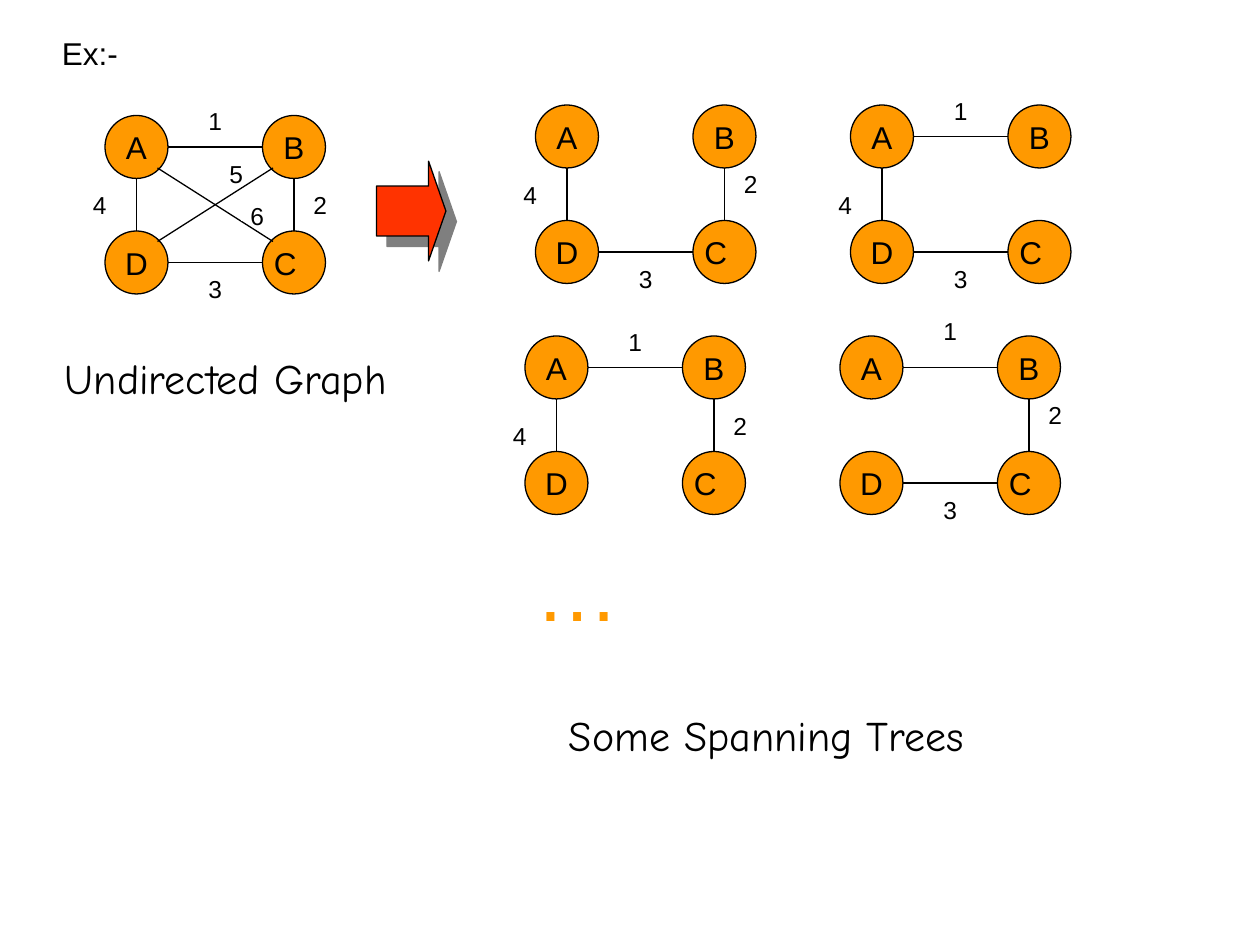
from lxml import etree
from pptx import Presentation, util as u
from pptx.dml.color import RGBColor
from pptx.enum import shapes, text
from pptx.oxml import ns

theme = {
    "ink": RGBColor.from_string("000000"),
    "paper": RGBColor.from_string("FFFFFF"),
    "node": RGBColor.from_string("FF9900"),
    "arrow": RGBColor.from_string("FF3300"),
    "font": "Arial",
    "script": "Comic Neue",
    "label": u.Pt(14),
    "name": u.Pt(18),
    "title": u.Pt(24),
    "dots": u.Pt(48),
    "line": u.Pt(0.75),
}
kinds = shapes.MSO_SHAPE
step = u.Cm(2.54) // 12

deck = Presentation()
deck.slide_width, deck.slide_height = u.Cm(25.4), u.Cm(19.05)
slide = deck.slides.add_slide(deck.slide_layouts[6])


def block(kind, x, y, w, h, fill, edge):
    shape = slide.shapes.add_shape(kind, x, y, w, h)
    shape.shadow.inherit = False
    shape.fill.solid()
    shape.fill.fore_color.rgb = theme[fill]
    shape.line.color.rgb = theme[edge]
    shape.line.width = theme["line"]
    return shape


def write(shape, words, size, color="ink", shift=0):
    frame = shape.text_frame
    frame.margin_left = frame.margin_right = 0
    frame.margin_top = frame.margin_bottom = 0
    frame.margin_right = u.Cm(shift)
    frame.word_wrap = False
    frame.vertical_anchor = text.MSO_ANCHOR.MIDDLE
    para = frame.paragraphs[0]
    para.text = words
    para.alignment = text.PP_ALIGN.CENTER
    para.font.name = theme["font"]
    para.font.size = theme[size]
    para.font.color.rgb = theme[color]


titles = [
    ("Undirected Graph", 5, 33, u.Cm(8)),
    ("Some Spanning Trees", 53, 67, u.Cm(9.86)),
]
for words, x, y, width in titles:
    box = slide.shapes.add_textbox(x * step, y * step, width, 6 * step)
    box.text_frame.word_wrap = True
    box.text_frame.auto_size = text.MSO_AUTO_SIZE.SHAPE_TO_FIT_TEXT
    para = box.text_frame.paragraphs[0]
    para.text = words
    para.space_before = u.Pt(15)
    para.font.name = theme["script"]
    para.font.size = theme["title"]
    para.font.color.rgb = theme["ink"]

arrow = block(kinds.RIGHT_ARROW, u.Cm(7.59), u.Cm(3.25), u.Cm(1.4), u.Cm(2.01), "arrow", "ink")
arrow.adjustments[0], arrow.adjustments[1] = 0.5, 0.25
effects = arrow.element.spPr.find(ns.qn("a:effectLst"))
shade = etree.SubElement(
    effects, ns.qn("a:outerShdw"), dist=str(u.Pt(8.5)), dir="2700000", algn="ctr", rotWithShape="0"
)
black = etree.SubElement(shade, ns.qn("a:srgbClr"), val=str(theme["ink"]))
etree.SubElement(black, ns.qn("a:alpha"), val="50000")

head = block(kinds.RECTANGLE, 6 * step, 3 * step, 6 * step, 4 * step, "paper", "paper")
write(head, "Ex:-", "name", shift=0.18)

nodes = {"A": (0, 0), "D": (0, 11), "C": (15, 11), "B": (15, 0)}
edges = {
    1: ((6, 3, 15, 3), (9, -1, 3)),
    2: ((18, 6, 18, 11), (19, 7, 3)),
    3: ((6, 14, 15, 14), (9, 15, 3)),
    4: ((3, 6, 3, 11), (-2, 7, 3)),
    5: ((5, 12, 16, 5), (11, 5, 1)),
    6: ((5, 5, 16, 12), (13, 9, 1)),
}
graphs = [
    (10, 11, {1: 0, 2: 0, 3: 0, 4: 0, 5: 0, 6: 0}),
    (51, 10, {2: -1, 3: 0, 4: 0}),
    (81, 10, {1: 0, 3: 0, 4: 1}),
    (50, 32, {1: 0, 2: 0, 4: 1}),
    (80, 32, {1: -1, 2: -1, 3: 0}),
]
for left, top, links in graphs:
    for name, (x, y) in nodes.items():
        node = block(
            kinds.OVAL, (left + x) * step, (top + y) * step, 6 * step, 6 * step, "node", "ink"
        )
        write(node, name, "name", shift=0.35 if name == "C" else 0)
    for weight, nudge in links.items():
        (ax, ay, bx, by), (x, y, high) = edges[weight]
        line = slide.shapes.add_connector(
            shapes.MSO_CONNECTOR.STRAIGHT,
            (left + ax) * step, (top + ay) * step, (left + bx) * step, (top + by) * step,
        )
        line.line.color.rgb = theme["ink"]
        line.line.width = theme["line"]
        etree.SubElement(line.element.spPr, ns.qn("a:effectLst"))
        label = block(
            kinds.RECTANGLE, (left + x) * step, (top + y + nudge) * step,
            3 * step, high * step, "paper", "paper",
        )
        write(label, str(weight), "label")

dots = block(kinds.RECTANGLE, 47 * step, 53 * step, 16 * step, 6 * step, "paper", "paper")
write(dots, "…", "dots", "node")

deck.save("out.pptx")
